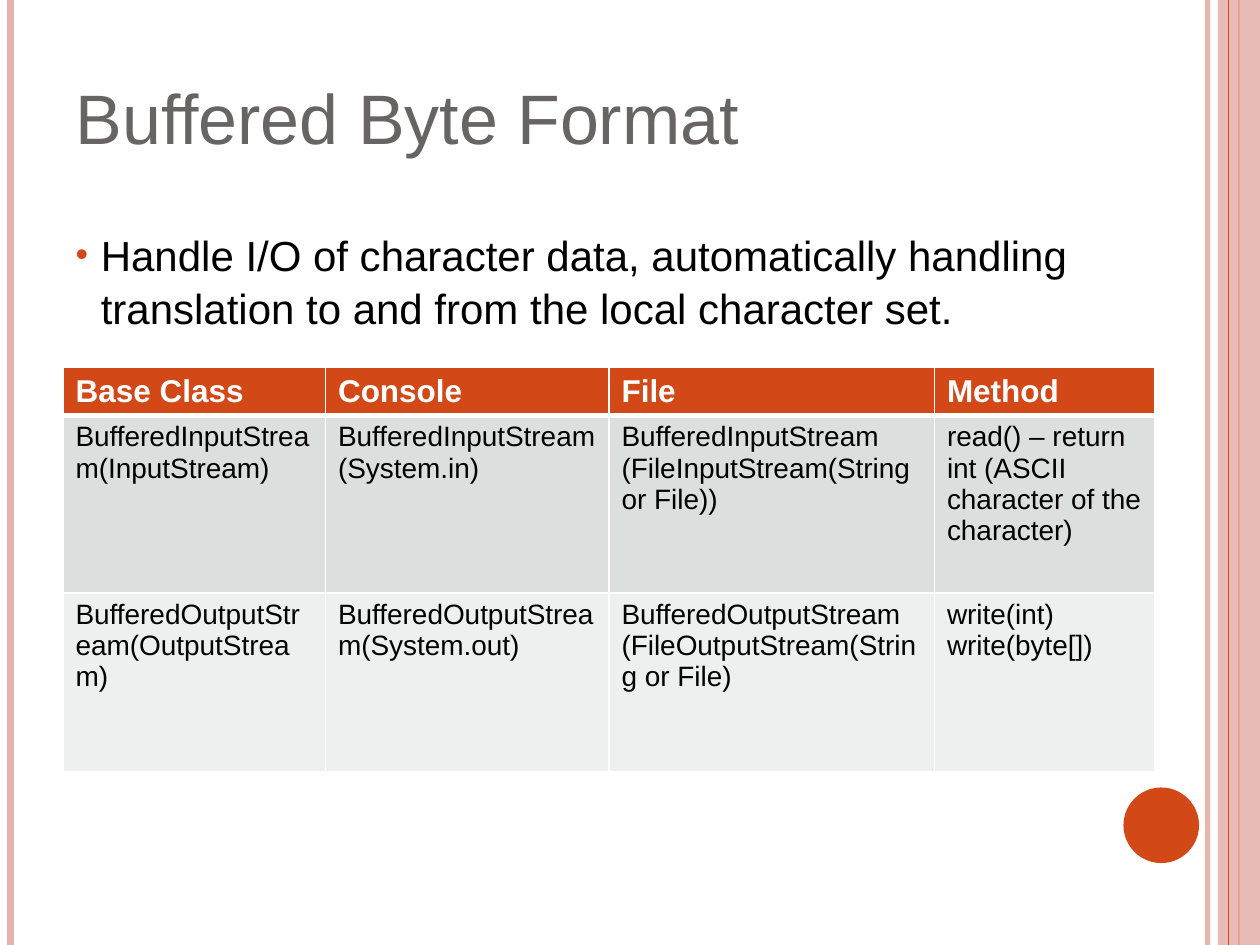
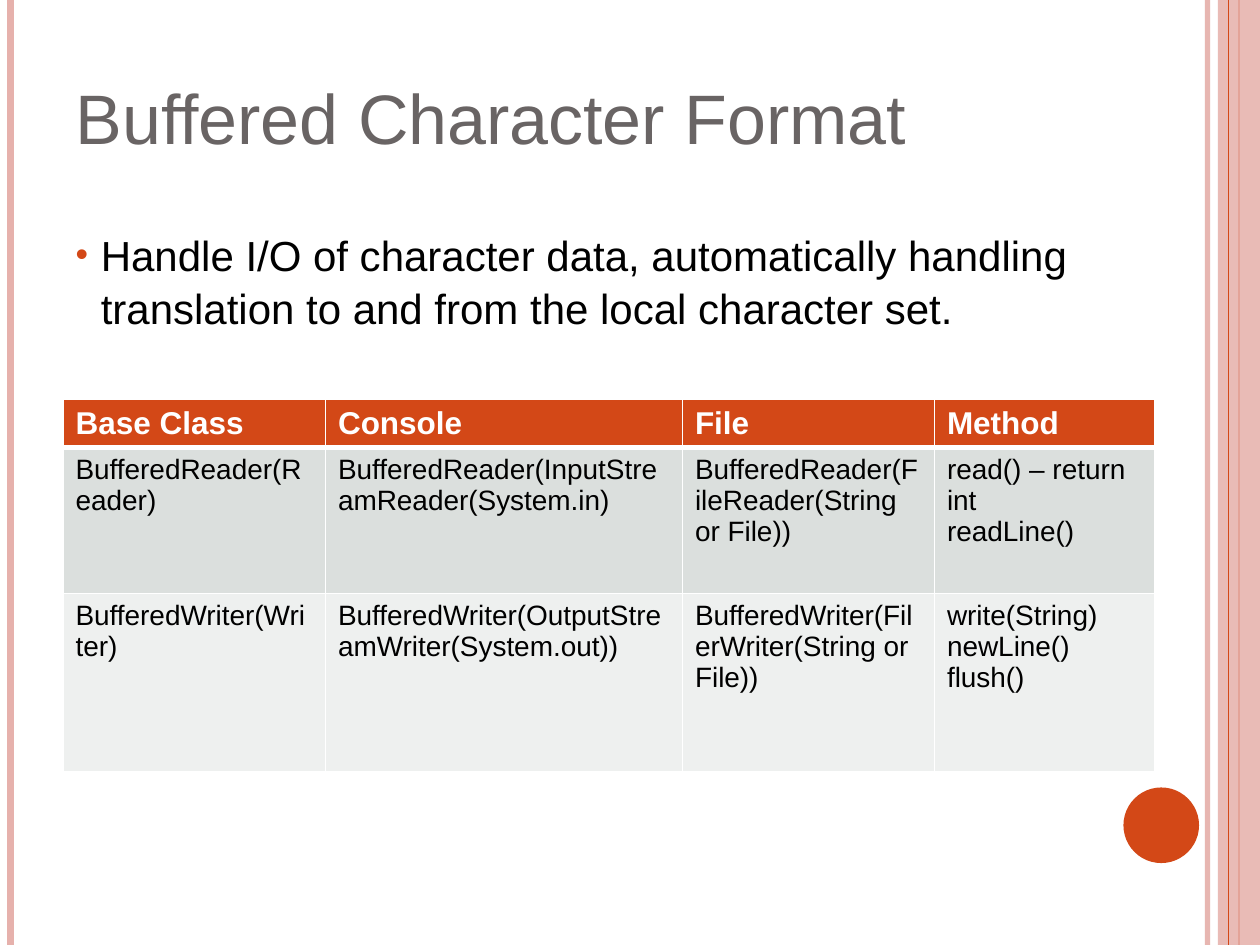
"""Two slides on the buffered stream classes, each with a lead bullet and a class table."""
import pptx
import pptx.dml.color
import pptx.enum.shapes
import pptx.enum.text
import pptx.oxml
import pptx.oxml.ns
import pptx.util

Pt = pptx.util.Pt
qn = pptx.oxml.ns.qn
SHAPE = pptx.enum.shapes.MSO_SHAPE
FONT = "Arial"
COLORS = {
    "accent": "D34817",
    "pink": "E6B1AC",
    "title": "696464",
    "text": "000000",
    "white": "FFFFFF",
    "row_dark": "DBDFDD",
    "row_light": "EEF0EF",
}
SLIDE_W, SLIDE_H = 720, 540
LEFT = 36
LEAD = ("Handle I/O of character data, automatically handling "
        "translation to and from the local character set.")
HEADER = ["Base Class", "Console", "File", "Method"]
SLIDES = [
    {
        "title": "Buffered Byte Format",
        "top": 210,
        "cols": [150, 162, 186, 126],
        "heights": [26, 101.4, 102],
        "rows": [
            ["BufferedInputStream(InputStream)",
             "BufferedInputStream\n(System.in)",
             "BufferedInputStream\n(FileInputStream(String or File))",
             "read() – return int (ASCII character of the character)"],
            ["BufferedOutputStream(OutputStream)",
             "BufferedOutputStream(System.out)",
             "BufferedOutputStream\n(FileOutputStream(String or File)",
             "write(int)\nwrite(byte[])"],
        ],
    },
    {
        "title": "Buffered Character Format",
        "top": 228.4,
        "cols": [150, 204, 144, 126],
        "heights": [26, 83.4, 102],
        "rows": [
            ["BufferedReader(Reader)",
             "BufferedReader(InputStreamReader(System.in)",
             "BufferedReader(FileReader(String or File))",
             "read() – return int\nreadLine()"],
            ["BufferedWriter(Writer)",
             "BufferedWriter(OutputStreamWriter(System.out))",
             "BufferedWriter(FilerWriter(String or File))",
             "write(String)\nnewLine()\nflush()"],
        ],
    },
]


def rgb(name):
    return pptx.dml.color.RGBColor.from_string(COLORS[name])


def sub(parent, tag, **attrs):
    el = pptx.oxml.parse_xml(f"<{tag} {pptx.oxml.ns.nsdecls('a')}/>")
    for key, value in attrs.items():
        el.set(key, str(value))
    parent.append(el)
    return el


def set_alpha(sp, percent):
    for clr in sp.element.spPr.iter(qn("a:srgbClr")):
        sub(clr, "a:alpha", val=percent * 1000)


def format_text(tf, size, color, bold=False):
    for p in tf.paragraphs:
        for r in p.runs:
            r.font.name = FONT
            r.font.size = Pt(size)
            r.font.bold = bold
            r.font.color.rgb = rgb(color)


def add_stripe(slide, x, width, color):
    line = slide.shapes.add_connector(
        pptx.enum.shapes.MSO_CONNECTOR.STRAIGHT, Pt(x), 0, Pt(x), Pt(SLIDE_H))
    line.line.color.rgb = rgb(color)
    line.line.width = Pt(width)
    sub(line.element.spPr, "a:effectLst")
    return line


def add_filled(slide, shape, box, color):
    sp = slide.shapes.add_shape(shape, *map(Pt, box))
    sp.shadow.inherit = False
    sp.fill.solid()
    sp.fill.fore_color.rgb = rgb(color)
    sp.line.fill.background()
    return sp


def add_decoration(slide):
    set_alpha(add_stripe(slide, 690, 3, "pink"), 93)
    add_stripe(slide, 6, 4.5, "pink")
    add_stripe(slide, 708, 1.5, "accent")
    set_alpha(add_filled(slide, SHAPE.RECTANGLE, (696, 0, 24, SLIDE_H), "pink"), 87)
    add_stripe(slide, 702, 0.75, "accent")
    add_filled(slide, SHAPE.OVAL, (642, 450, 43.2, 43.2), "accent")


def fill_placeholder(sp, text, top, height, size, color, anchor):
    sp.left, sp.top, sp.width, sp.height = map(Pt, (LEFT, top, 588, height))
    tf = sp.text_frame
    tf.text = text
    tf.word_wrap = True
    tf.auto_size = pptx.enum.text.MSO_AUTO_SIZE.NONE
    tf.vertical_anchor = anchor
    p = tf.paragraphs[0]
    p.alignment = pptx.enum.text.PP_ALIGN.LEFT
    p.space_before = Pt(0)
    format_text(tf, size, color)
    return p


def add_bullet(p):
    pPr = p._p.get_or_add_pPr()
    pPr.set("marL", str(Pt(14.4)))
    pPr.set("indent", str(Pt(-14.4)))
    sub(sub(pPr, "a:buClr"), "a:srgbClr", val=COLORS["accent"])
    sub(pPr, "a:buSzPct", val=85000)
    sub(pPr, "a:buFont", typeface=FONT)
    sub(pPr, "a:buChar", char="•")


def set_borders(cell, top, bottom):
    tcPr = cell._tc.get_or_add_tcPr()
    for side, width in (("L", 1), ("R", 1), ("T", top), ("B", bottom)):
        ln = sub(tcPr, f"a:ln{side}", w=Pt(width))
        sub(sub(ln, "a:solidFill"), "a:srgbClr", val=COLORS["white"])


def add_class_table(slide, top, cols, heights, rows):
    frame = slide.shapes.add_table(
        len(heights), len(cols), Pt(LEFT), Pt(top), Pt(sum(cols)), Pt(sum(heights)))
    table = frame.table
    for column, width in zip(table.columns, cols):
        column.width = Pt(width)
    styles = [("accent", 18, "white", True, 1, 3),
              ("row_dark", 16, "text", False, 3, 1),
              ("row_light", 16, "text", False, 1, 1)]
    for i, (texts, style) in enumerate(zip([HEADER] + rows, styles)):
        fill, size, color, bold, above, below = style
        table.rows[i].height = Pt(heights[i])
        for j, text in enumerate(texts):
            cell = table.cell(i, j)
            cell.text_frame.text = text
            format_text(cell.text_frame, size, color, bold)
            set_borders(cell, above, below)
            cell.fill.solid()
            cell.fill.fore_color.rgb = rgb(fill)


def add_slide(prs, title, **table):
    slide = prs.slides.add_slide(prs.slide_layouts[1])
    anchor = pptx.enum.text.MSO_ANCHOR
    add_decoration(slide)
    fill_placeholder(slide.shapes.title, title, 21.6, 90, 40, "title", anchor.MIDDLE)
    p = fill_placeholder(slide.placeholders[1], LEAD, 126, 384, 24, "text", anchor.TOP)
    p.line_spacing = 1.05
    add_bullet(p)
    add_class_table(slide, **table)


def main():
    prs = pptx.Presentation()
    prs.slide_width, prs.slide_height = Pt(SLIDE_W), Pt(SLIDE_H)
    for content in SLIDES:
        add_slide(prs, **content)
    prs.save("out.pptx")


if __name__ == "__main__":
    main()
